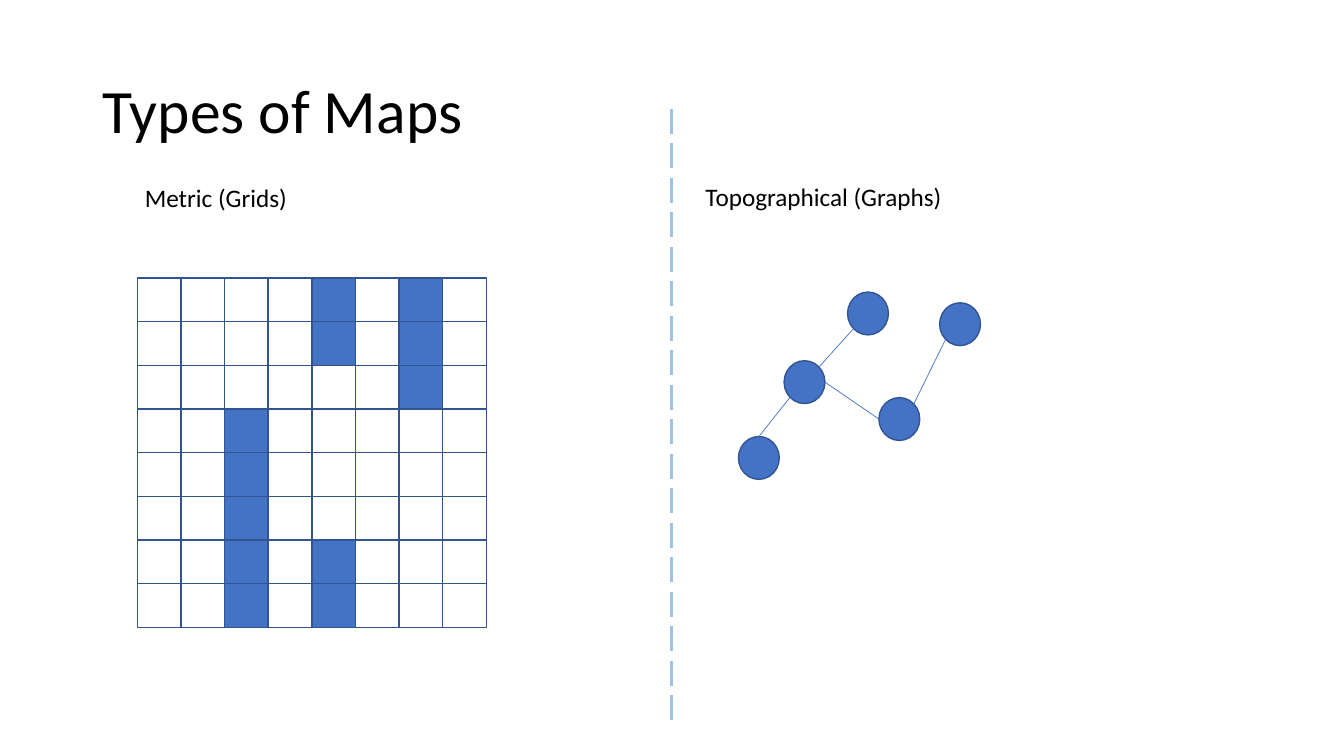
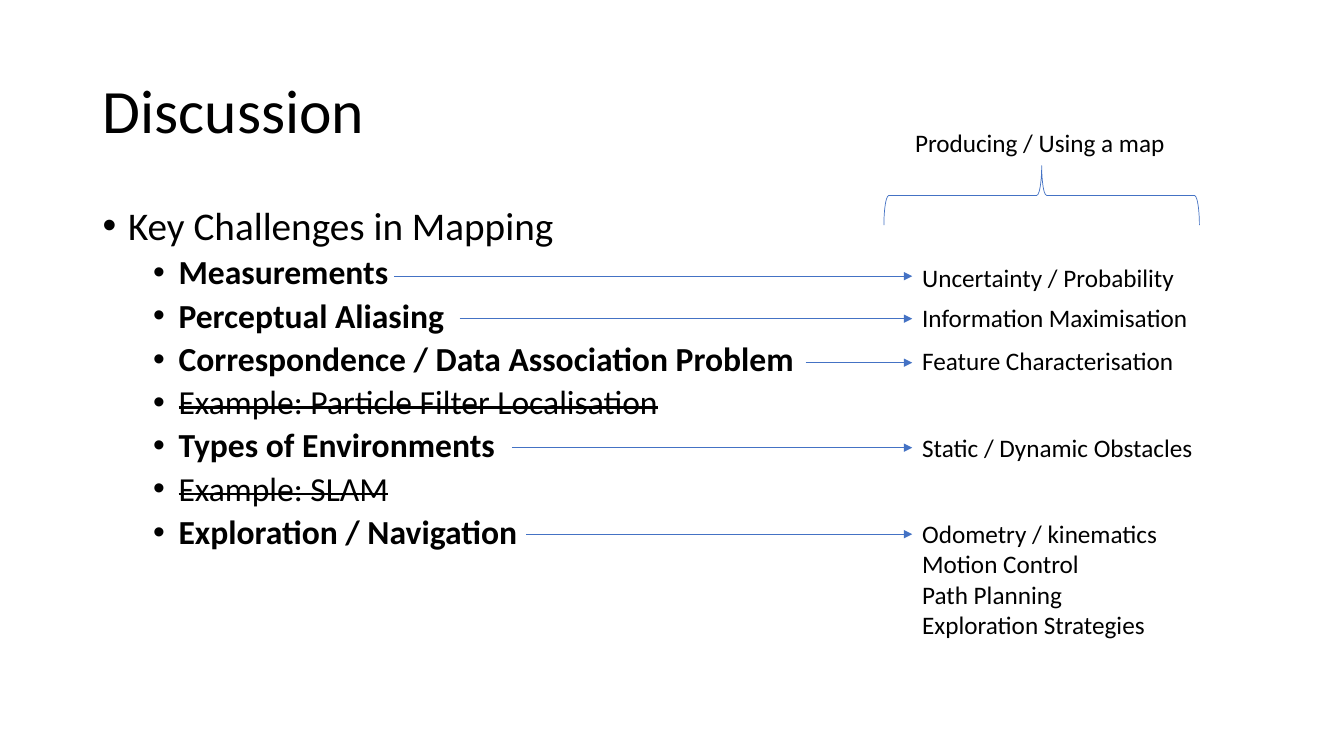
from dataclasses import dataclass
from math import cos, radians, sin

from lxml.etree import SubElement
from pptx import Presentation
from pptx.dml.color import RGBColor as RGB
from pptx.enum.dml import MSO_LINE as Dash
from pptx.enum.shapes import MSO_CONNECTOR as Conn, MSO_SHAPE as Kind
from pptx.enum.text import MSO_ANCHOR as Anchor
from pptx.oxml.ns import qn
from pptx.util import Cm, Pt


@dataclass(frozen=True)
class Theme:
    font: str = "Calibri"
    ink: RGB = RGB(0, 0, 0)
    paper: RGB = RGB(255, 255, 255)
    blue: RGB = RGB(0x44, 0x72, 0xC4)
    edge: RGB = RGB(0x32, 0x54, 0x91)
    pale: RGB = RGB(0x9D, 0xC3, 0xE6)
    title: int = 44
    head: int = 28
    item: int = 24
    label: int = 18
    thin: float = 0.5
    rim: float = 1
    thick: float = 2.25


theme = Theme()


def write(slide, lines, x, y, wide, high=1.03, size=theme.label):
    """Add a text box with one paragraph for each line."""
    box = slide.shapes.add_textbox(Cm(x), Cm(y), Cm(wide), Cm(high))
    frame = box.text_frame
    frame.word_wrap = True
    frame.text = "\n".join(lines)
    for para in frame.paragraphs:
        para.font.name = theme.font
        para.font.size = Pt(size)
        para.font.color.rgb = theme.ink
    return frame


def join(slide, start, end, color=theme.blue, width=theme.thin, dash=None, arrow=False):
    """Draw a straight line between two points."""
    link = slide.shapes.add_connector(Conn.STRAIGHT, *map(Cm, start + end))
    link.line.color.rgb = color
    link.line.width = Pt(width)
    if dash:
        link.line.dash_style = dash
    props = link._element.spPr
    if arrow:
        SubElement(props.find(qn("a:ln")), qn("a:tailEnd"), type="triangle")
    SubElement(props, qn("a:effectLst"))


deck = Presentation()
deck.slide_width, deck.slide_height = Cm(33.87), Cm(19.05)

slides = []
for title in ("Types of Maps", "Discussion"):
    slide = deck.slides.add_slide(deck.slide_layouts[6])
    frame = write(slide, [title], 2.34, 1.02, 29.2, 3.68, theme.title)
    frame.vertical_anchor = Anchor.MIDDLE
    frame.paragraphs[0].line_spacing = 0.9
    slides.append(slide)
maps, talk = slides

# Types of maps: metric grid on the left, graph on the right
write(maps, ["Metric (Grids)"], 3.4, 4.47, 5)
write(maps, ["Topographical (Graphs)"], 17.53, 4.45, 7.5)
join(maps, (16.93, 2.74), (16.93, 18.31), theme.pale, theme.thick, Dash.LONG_DASH)

grid = (
    "....#.#.",
    "....#.#.",
    "......#.",
    "..#.....",
    "..#.....",
    "..#.....",
    "..#.#...",
    "..#.#...",
)
cell = 1.1
tiles = [
    (Kind.RECTANGLE, 3.46 + col * cell, 7.01 + row * cell, cell, cell,
     theme.blue if mark == "#" else theme.paper)
    for row, marks in enumerate(grid)
    for col, mark in enumerate(marks)
]

wide, high = 1.03, 1.08
nodes = {
    "top": (21.36, 7.36),
    "right": (23.68, 7.63),
    "low": (22.15, 10.02),
    "hub": (19.76, 9.09),
    "left": (18.61, 11),
}
dots = [(Kind.OVAL, x, y, wide, high, theme.blue) for x, y in nodes.values()]

for kind, x, y, w, h, fill in tiles + dots:
    shape = maps.shapes.add_shape(kind, Cm(x), Cm(y), Cm(w), Cm(h))
    shape.shadow.inherit = False
    shape.fill.solid()
    shape.fill.fore_color.rgb = fill
    shape.line.color.rgb = theme.edge
    shape.line.width = Pt(theme.rim)

# Each end is a node and the clockwise angle where the line meets its rim
edges = (
    (("left", 270), ("hub", 135)),
    (("hub", 315), ("top", 135)),
    (("hub", 0), ("low", 180)),
    (("low", 315), ("right", 135)),
)
for edge in edges:
    ends = []
    for name, angle in edge:
        x, y = nodes[name]
        turn = radians(angle)
        ends.append((x + wide / 2 * (1 + cos(turn)), y + high / 2 * (1 + sin(turn))))
    join(maps, *ends)

# Discussion: challenges on the left, matching topics on the right
points = (
    ("Key Challenges in Mapping", "head"),
    ("Measurements", "bold"),
    ("Perceptual Aliasing", "bold"),
    ("Correspondence / Data Association Problem", "bold"),
    ("Example: Particle Filter Localisation", "struck"),
    ("Types of Environments", "bold"),
    ("Example: SLAM", "struck"),
    ("Exploration / Navigation", "bold"),
)
frame = talk.shapes.add_textbox(Cm(2.34), Cm(5.08), Cm(29.2), Cm(12.1)).text_frame
frame.word_wrap = True
frame.text = "\n".join(text for text, _ in points)
for para, (_, style) in zip(frame.paragraphs, points):
    head = style == "head"
    props = para._p.get_or_add_pPr()
    props.set("marL", str(Cm(0.64 if head else 1.91)))
    props.set("indent", str(Cm(-0.64)))
    SubElement(props, qn("a:buFont"), typeface="Arial")
    SubElement(props, qn("a:buChar"), char="•")
    para.line_spacing = 0.9
    if not head:
        para.level = 1
        para.space_before = Pt(5)
    font = para.font
    font.name = theme.font
    font.size = Pt(theme.head if head else theme.item)
    font.color.rgb = theme.ink
    font.bold = style == "bold"
    if style == "struck":
        font._element.set("strike", "sngStrike")

stop = 22.99
topics = (
    (9.93, 6.96, 6.48, ["Uncertainty / Probability"]),
    (11.58, 8.03, 7.5, ["Information Maximisation"]),
    (20.3, 9.14, 8.57, ["Feature Characterisation"]),
    (12.9, 11.28, 10.78, ["Static / Dynamic Obstacles"]),
    (13.26, 13.46, 12.94, ["Odometry / kinematics", "Motion Control",
                           "Path Planning", "Exploration Strategies"]),
)
for start, y, top, lines in topics:
    join(talk, (start, y), (stop, y), arrow=True)
    write(talk, lines, stop, top, 8, 1.03 * len(lines))

write(talk, ["Producing / Using a map"], 22.81, 3.08, 8)
brace = talk.shapes.add_shape(Kind.LEFT_BRACE, Cm(25.5), Cm(0.95), Cm(1.5), Cm(7.95))
brace.rotation = 90
brace.shadow.inherit = False
brace.fill.background()
brace.line.color.rgb = theme.blue
brace.line.width = Pt(theme.thin)

deck.save("out.pptx")
